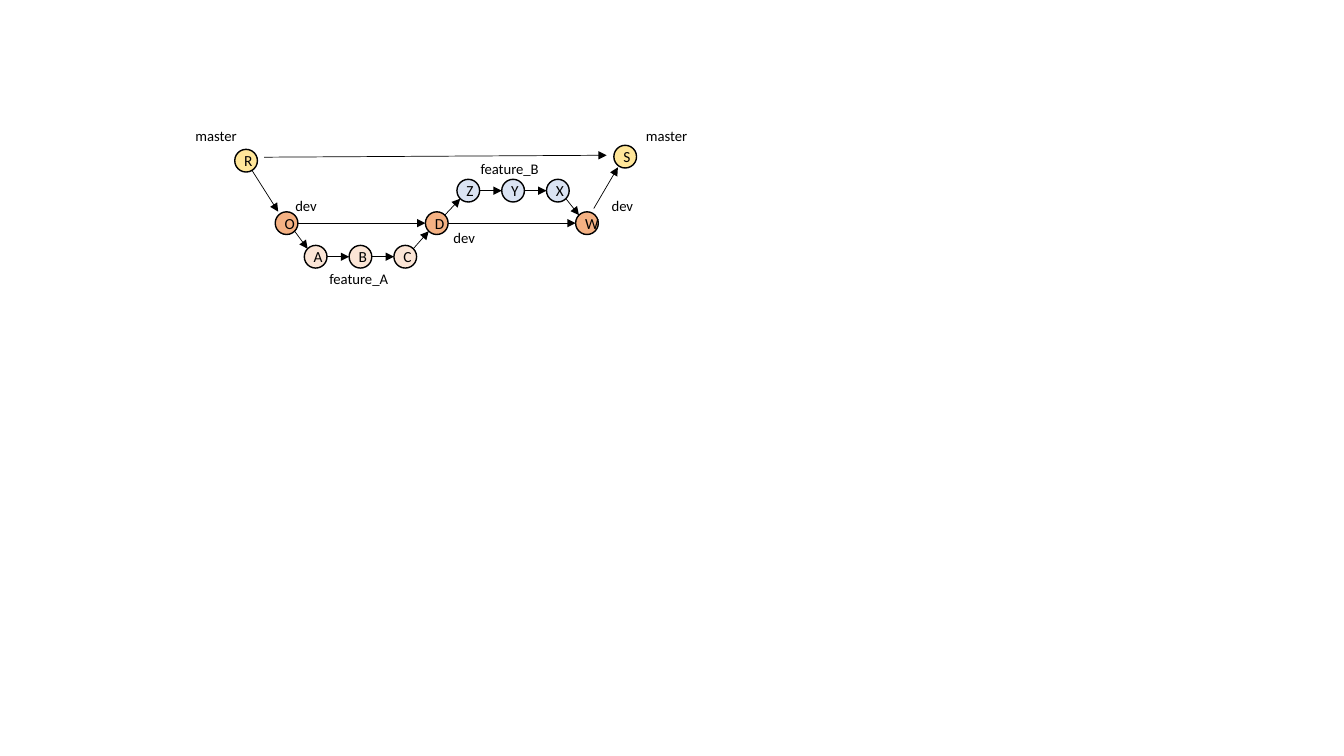
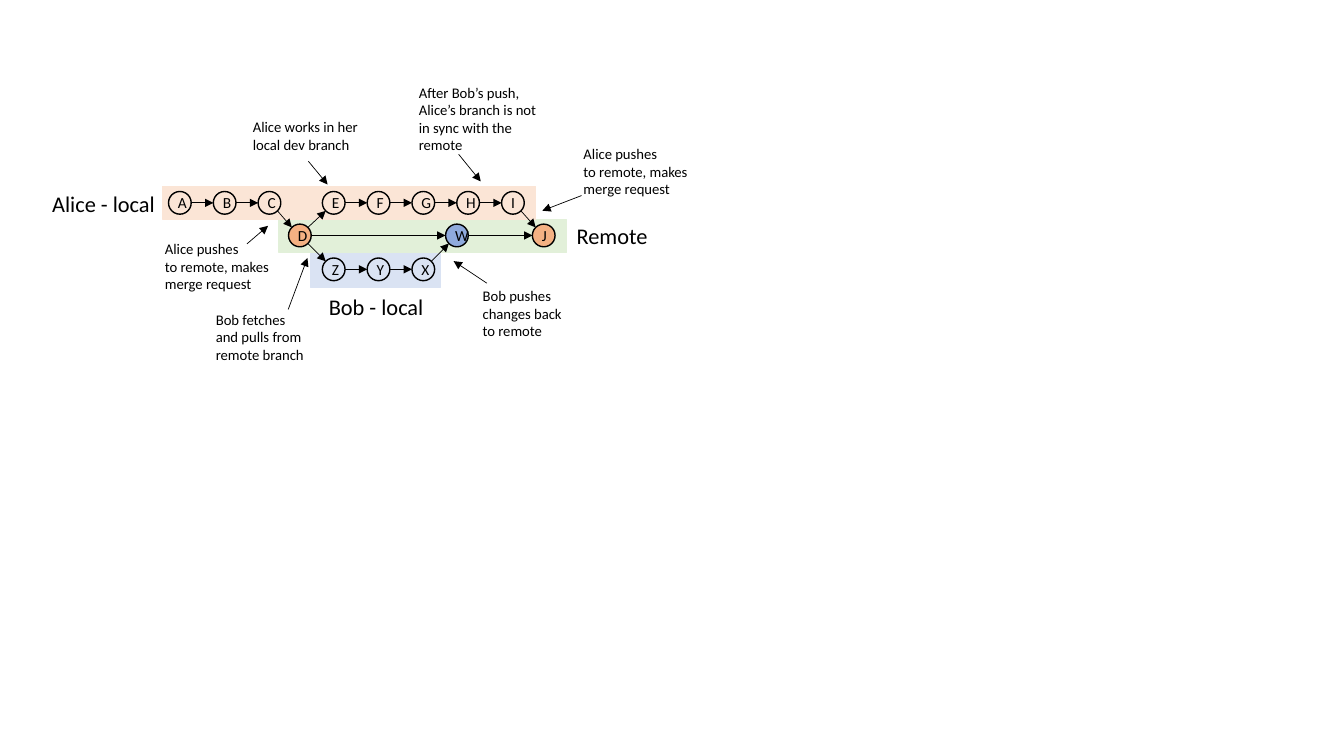
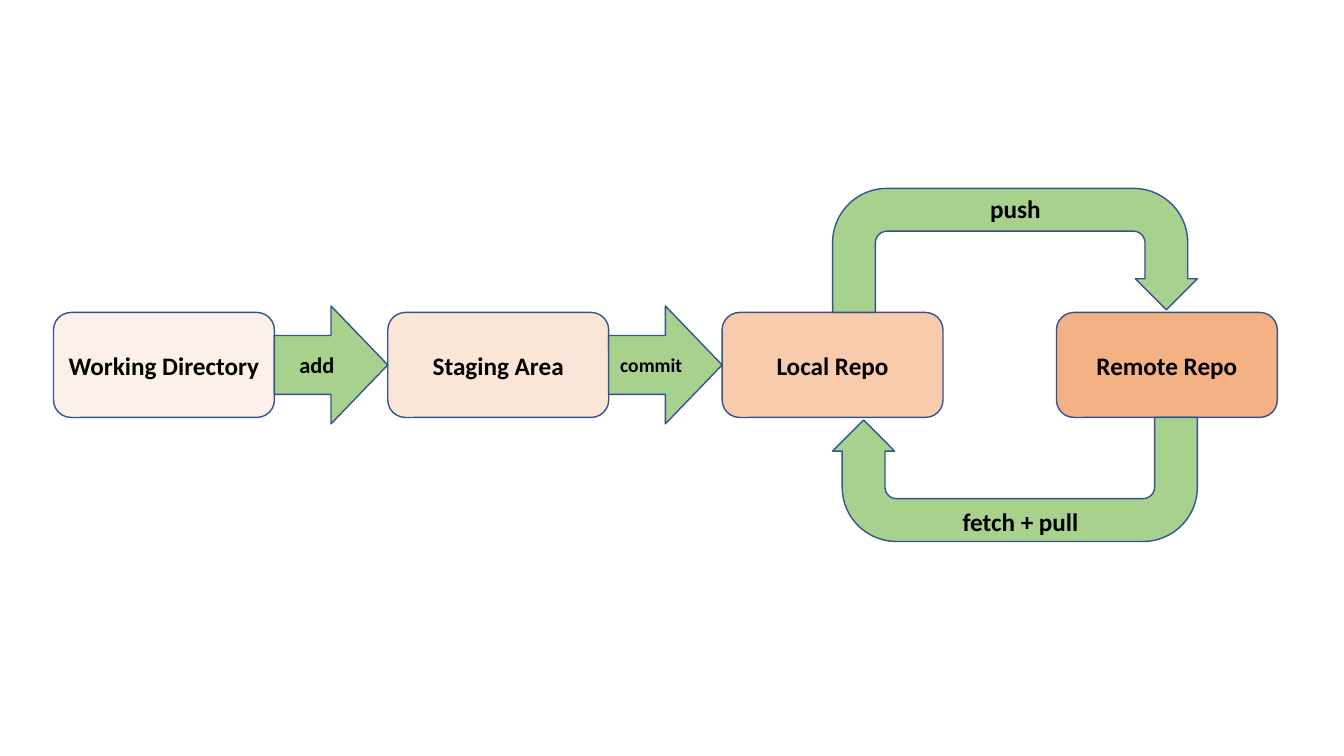
from lxml.etree import SubElement
from pptx import Presentation
from pptx.dml.color import RGBColor
from pptx.enum.shapes import MSO_CONNECTOR, MSO_SHAPE
from pptx.enum.text import MSO_ANCHOR, MSO_AUTO_SIZE, PP_ALIGN
from pptx.oxml.ns import qn
from pptx.util import Pt

# Shared look
FONT = "Calibri"
BLACK, NAVY = "000000", "325491"
PEACH, SALMON, ORANGE = "FBE5D6", "F8CBAD", "F4B183"
PALE, BLUE, YELLOW = "DAE3F3", "8FAADC", "FFE699"
MINT, GREEN = "E2F0D9", "A9D18E"

NODE = 16.2     # diameter of a commit
PITCH = 32      # distance between commits in a row


def color(code):
    return RGBColor.from_string(code)


def write(frame, text, size=10.5, bold=False, align=PP_ALIGN.LEFT,
          anchor=MSO_ANCHOR.TOP, wrap=True):
    frame.text = text
    frame.word_wrap = wrap
    frame.vertical_anchor = anchor
    for para in frame.paragraphs:
        para.alignment = align
        font = para.font
        font.name, font.size, font.bold = FONT, Pt(size), bold
        font.color.rgb = color(BLACK)


def block(slide, kind, box, fill, line, text="", **style):
    shape = slide.shapes.add_shape(kind, *map(Pt, box))
    shape.shadow.inherit = False
    shape.fill.solid()
    shape.fill.fore_color.rgb = color(fill)
    shape.line.color.rgb = color(line)
    shape.line.width = Pt(1)
    if text:
        write(shape.text_frame, text, align=PP_ALIGN.CENTER,
              anchor=MSO_ANCHOR.MIDDLE, **style)
    return shape


def label(slide, text, box, **style):
    frame = slide.shapes.add_textbox(*map(Pt, box)).text_frame
    write(frame, text, **style)
    frame.auto_size = MSO_AUTO_SIZE.SHAPE_TO_FIT_TEXT


def arrow(slide, start, end):
    link = slide.shapes.add_connector(
        MSO_CONNECTOR.STRAIGHT, *map(Pt, (*start, *end)))
    link.line.color.rgb = color(BLACK)
    link.line.width = Pt(0.5)
    SubElement(link.line._get_or_add_ln(), qn("a:tailEnd"), type="triangle")
    SubElement(link.element.spPr, qn("a:effectLst"))


def node(slide, name, x, y, fill):
    """Draw a commit centred on x, y and return its centre."""
    box = (x - NODE / 2, y - NODE / 2, NODE, NODE)
    block(slide, MSO_SHAPE.OVAL, box, fill, BLACK, name, size=11)
    return x, y


def join(slide, start, end):
    """Link two commits edge to edge, level or from diagonal points."""
    (x1, y1), (x2, y2) = start, end
    if y1 == y2:
        dx, dy = NODE / 2, 0
    else:
        dx = NODE / 2 * 0.71
        dy = dx if y2 > y1 else -dx
    arrow(slide, (x1 + dx, y1 + dy), (x2 - dx, y2 - dy))


def chain(slide, names, x, y, fill):
    """Draw a row of linked commits and return its first and last centre."""
    spots = [node(slide, name, x + i * PITCH, y, fill)
             for i, name in enumerate(names)]
    for pair in zip(spots, spots[1:]):
        join(slide, *pair)
    return spots[0], spots[-1]


def branches(slide):
    # Commits
    node(slide, "R", 175.8, 114.8, YELLOW)
    node(slide, "S", 446.6, 111.9, YELLOW)
    o, d, w = [node(slide, name, x, 159.4, ORANGE)
               for name, x in (("O", 204.7), ("D", 312), ("W", 419.3))]
    a, c = chain(slide, "ABC", 225.5, 183.4, PEACH)
    z, x = chain(slide, "ZYX", 334.5, 136.2, PALE)

    # Links
    for pair in ((o, a), (c, d), (o, d), (d, z), (x, w), (d, w)):
        join(slide, *pair)
    arrow(slide, (180, 121.7), (198.7, 151.2))
    arrow(slide, (424.1, 149), (441.4, 119.5))
    arrow(slide, (188.6, 112.3), (433.4, 110.9))

    # Branch names
    for text, x, y, width in (
            ("master", 132.5, 87.1, 44.6), ("master", 454.3, 87.1, 44.6),
            ("dev", 203.8, 136.8, 30.2), ("dev", 316.8, 159.8, 30.2),
            ("dev", 429.8, 136.8, 30.2),
            ("feature_A", 228.2, 189.4, 57.6),
            ("feature_B", 336.2, 110.9, 57.6)):
        label(slide, text, (x, y, width, 20.2), wrap=False)


def remote(slide):
    # Bands
    for box, fill in (((199.4, 157, 205.2, 23.2), MINT),
                      ((116.3, 133.2, 266.4, 23.2), PEACH),
                      ((221.8, 181.4, 92.9, 23.8), PALE)):
        block(slide, MSO_SHAPE.RECTANGLE, box, fill, fill)

    # Commits
    a, c = chain(slide, "ABC", 128.5, 144.9, PEACH)
    e, i = chain(slide, "EFGHI", 238.4, 144.9, PEACH)
    z, x = chain(slide, "ZYX", 238.4, 192.4, PALE)
    d, w, j = [node(slide, name, left, 168.2, fill) for name, left, fill in
               (("D", 214.2, ORANGE), ("W", 326.4, BLUE), ("J", 388.4, ORANGE))]

    # Links
    for pair in ((c, d), (d, e), (d, z), (x, w), (d, w), (i, j), (w, j)):
        join(slide, *pair)

    # Band names
    for text, x, y, width in (("Alice - local", 30.2, 132.5, 109.4),
                              ("Bob - local", 227.8, 206.2, 87.8),
                              ("Remote", 404.8, 155, 65.5)):
        label(slide, text, (x, y, width, 26.6), size=16)

    # Notes with their arrows
    push = "Alice pushes\nto remote, makes\nmerge request"
    for text, box, start, end in (
            ("Alice works in her local dev branch", (173.5, 80.6, 100.1, 32.4),
             (220.3, 115.2), (234, 131.8)),
            ("Bob fetches and pulls from\nremote branch",
             (147.1, 218.4, 78.5, 45.4), (205.9, 221), (219.6, 184.3)),
            ("Bob pushes\nchanges back\nto remote", (337.7, 201.4, 74.2, 45.4),
             (347.8, 202.3), (324, 186.5)),
            (push, (110.7, 167.8, 92.9, 45.4), (176.4, 174.2), (191.5, 161.3)),
            (push, (409.7, 100.1, 92.9, 45.4), (415.4, 139.7), (387.4, 150.5)),
            ("After Bob’s push,\nAlice’s branch is not\nin sync with the remote",
             (292.1, 56, 100.1, 58.3), (327.6, 110.2), (343.4, 129.6))):
        label(slide, text, box)
        arrow(slide, start, end)


def flow(slide):
    left, top, width, height, step = 38.2, 223.2, 157.8, 75, 238.8

    # Places
    for i, (text, fill) in enumerate((
            ("Working Directory", PEACH), ("Staging Area", PEACH),
            ("Local Repo", SALMON), ("Remote Repo", ORANGE))):
        box = (left + i * step, top, width, height)
        place = block(slide, MSO_SHAPE.ROUNDED_RECTANGLE, box, fill, NAVY,
                      text, size=18, bold=True)
        if i == 0:      # half transparent
            tint = place.element.spPr.find(".//" + qn("a:srgbClr"))
            SubElement(tint, qn("a:alpha"), val="50000")

    # Straight steps
    for i, (text, size) in enumerate((("add", 16), ("commit", 14))):
        box = (left + width + i * step, 218.6, step - width, 84.2)
        block(slide, MSO_SHAPE.RIGHT_ARROW, box, GREEN, NAVY, text,
              size=size, bold=True)

    # Turning steps
    for text, y, x, high, flip in (("push", 134.6, 670.3, 134.6, False),
                                   ("fetch + pull", 298.2, 673.9, 357.8, True)):
        turn = block(slide, MSO_SHAPE.U_TURN_ARROW, (594.7, y, 260.6, 88.6),
                     GREEN, NAVY)
        for i, value in enumerate((0.345, 0.25, 0.25, 0.438, 0.979)):
            turn.adjustments[i] = value
        if flip:
            for side in ("flipH", "flipV"):
                turn.element.spPr.xfrm.set(side, "1")
        label(slide, text, (x, high, 110.2, 28.8), size=18, bold=True,
              align=PP_ALIGN.CENTER)


def main():
    deck = Presentation()
    deck.slide_width, deck.slide_height = Pt(960), Pt(540)
    blank = deck.slide_layouts[6]
    for draw in (branches, remote, flow):
        draw(deck.slides.add_slide(blank))
    deck.save("out.pptx")


main()
